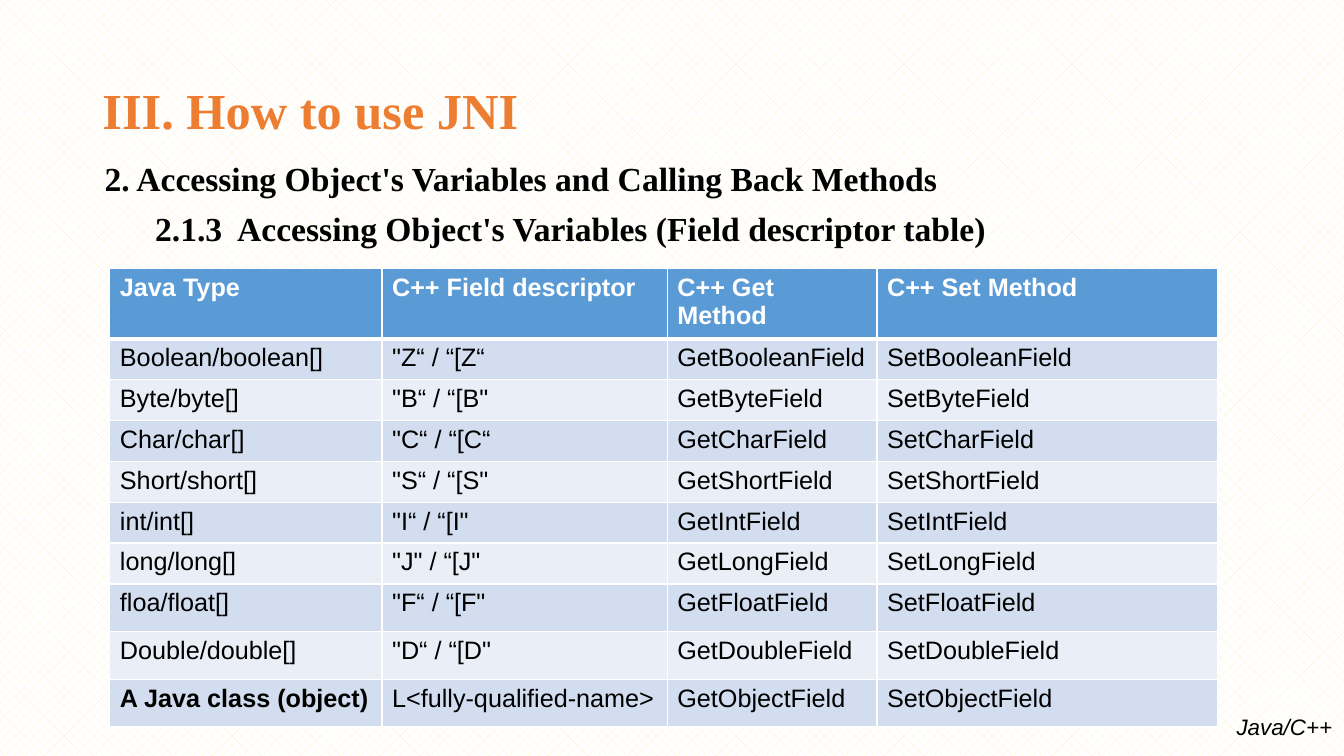
from dataclasses import dataclass
from lxml.etree import SubElement as Sub
from pptx import Presentation
from pptx.dml.color import RGBColor as RGB
from pptx.enum.dml import MSO_PATTERN as Pat
from pptx.enum.text import MSO_ANCHOR as Anchor, PP_ALIGN as Align
from pptx.oxml.ns import qn
from pptx.util import Pt


@dataclass(frozen=True)
class Theme:
    sans: str = "Arial"
    serif: str = "Times New Roman"
    title: int = 36
    head: int = 24
    cell: int = 18
    tag: int = 16
    orange: str = "ED7D31"
    black: str = "000000"
    white: str = "FFFFFF"
    cream: str = "FFF2CC"
    blue: str = "5B9BD5"
    bands: tuple = ("D2DEEF", "EAEFF7")


T = Theme()
WIDTHS = (194.4, 203.8, 149.8, 243.3)
HEIGHTS = [29.2] * 7 + [34.1] * 3
HEADS = ("Java Type", "C++ Field descriptor", "C++ Get Method", "C++ Set Method")
TYPES = (
    ("Boolean/boolean[]", '"Z“ / “[Z“', "Boolean"),
    ("Byte/byte[]", '"B“ / “[B"', "Byte"),
    ("Char/char[]", '"C“ / “[C“', "Char"),
    ("Short/short[]", '"S“ / “[S"', "Short"),
    ("int/int[]", '"I“ / “[I"', "Int"),
    ("long/long[]", '"J"\u00a0/ “[J"', "Long"),
    ("floa/float[]", '"F“ / “[F"', "Float"),
    ("Double/double[]", '"D“ / “[D"', "Double"),
    ("A Java class (object)", "L<fully-qualified-name>", "Object"),
)


def style(para, face, size, color, bold=False, slant=False):
    font = para.font
    font.name, font.size = face, Pt(size)
    font.bold, font.italic = bold, slant
    font.color.rgb = RGB.from_string(color)


def set_back(slide):
    fill = slide.background.fill
    fill.patterned()
    fill.pattern = Pat.PERCENT_30
    fill.fore_color.rgb = RGB.from_string(T.cream)
    fill.back_color.rgb = RGB.from_string(T.white)


def set_title(slide, text):
    shape = slide.shapes.title
    shape.left, shape.top = Pt(66), Pt(28.75)
    shape.width, shape.height = Pt(828), Pt(104.4)
    frame = shape.text_frame
    frame.text = text
    frame.vertical_anchor = Anchor.MIDDLE
    para = frame.paragraphs[0]
    para.alignment, para.line_spacing = Align.LEFT, 0.9
    style(para, T.serif, T.title, T.orange, bold=True)


def add_box(slide, left, top, width, height, wrap=True):
    box = slide.shapes.add_textbox(Pt(left), Pt(top), Pt(width), Pt(height))
    box.text_frame.word_wrap = wrap
    return box.text_frame


def add_heads(slide, lines):
    frame = add_box(slide, 67.7, 112.3, 858, 76)
    frame.text = "\n".join(text for text, _ in lines)
    for para, (_, indent) in zip(frame.paragraphs, lines):
        para.line_spacing, para.space_before = 0.9, Pt(10)
        para._p.get_or_add_pPr().set("marL", str(Pt(indent)))
        style(para, T.serif, T.head, T.black, bold=True)


def add_tag(slide, text):
    frame = add_box(slide, 876.2, 506.2, 83.5, 26.6, wrap=False)
    frame.text = text
    style(frame.paragraphs[0], T.sans, T.tag, T.black, slant=True)


def set_edges(cell, top, base):
    props = cell._tc.get_or_add_tcPr()
    for side, width in (("L", 1), ("R", 1), ("T", top), ("B", base)):
        line = Sub(props, qn(f"a:ln{side}"), w=str(Pt(width)))
        fill = Sub(line, qn("a:solidFill"))
        Sub(fill, qn("a:srgbClr"), val=T.white)


def set_cell(cell, text, row, bold):
    head = row == 0
    set_edges(cell, 3 if row == 1 else 1, 3 if head else 1)
    cell.fill.solid()
    shade = T.blue if head else T.bands[(row - 1) % 2]
    cell.fill.fore_color.rgb = RGB.from_string(shade)
    cell.text = text
    color = T.white if head else T.black
    style(cell.text_frame.paragraphs[0], T.sans, T.cell, color, bold)


def add_grid(slide, rows):
    grid = slide.shapes.add_table(
        len(rows), len(WIDTHS), Pt(78.5), Pt(191.5),
        Pt(sum(WIDTHS)), Pt(sum(HEIGHTS))).table
    for col, width in zip(grid.columns, WIDTHS):
        col.width = Pt(width)
    for line, height in zip(grid.rows, HEIGHTS):
        line.height = Pt(height)
    last = len(rows) - 1
    for r, texts in enumerate(rows):
        for c, text in enumerate(texts):
            bold = r == 0 or (r == last and c == 0)
            set_cell(grid.cell(r, c), text, r, bold)


def main():
    deck = Presentation()
    deck.slide_width, deck.slide_height = Pt(960), Pt(540)
    slide = deck.slides.add_slide(deck.slide_layouts[5])
    set_back(slide)
    add_tag(slide, "Java/C++")
    set_title(slide, "III. How to use JNI")
    add_heads(slide, (
        ("2. Accessing Object's Variables and Calling Back Methods", 0),
        ("2.1.3  Accessing Object's Variables (Field descriptor table)", 36),
    ))
    fields = [(kind, code, f"Get{name}Field", f"Set{name}Field")
              for kind, code, name in TYPES]
    add_grid(slide, [HEADS, *fields])
    deck.save("out.pptx")


main()
